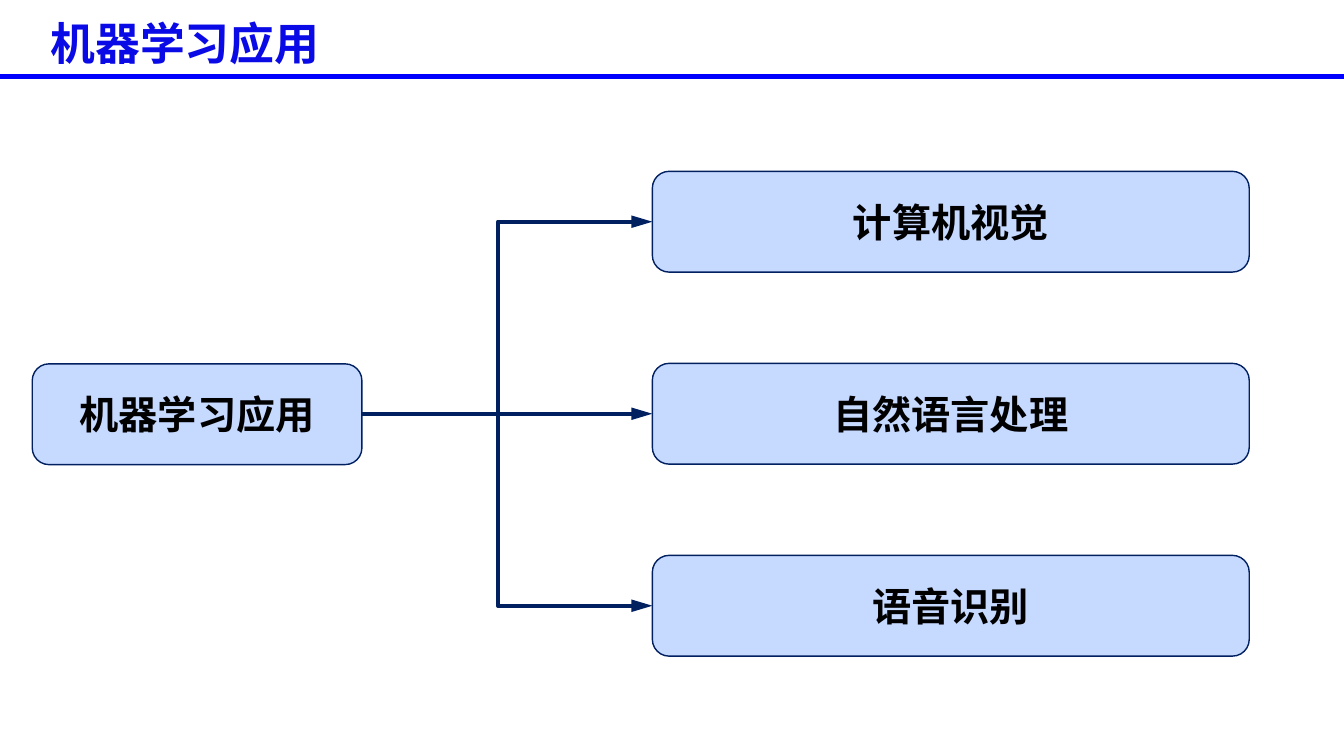
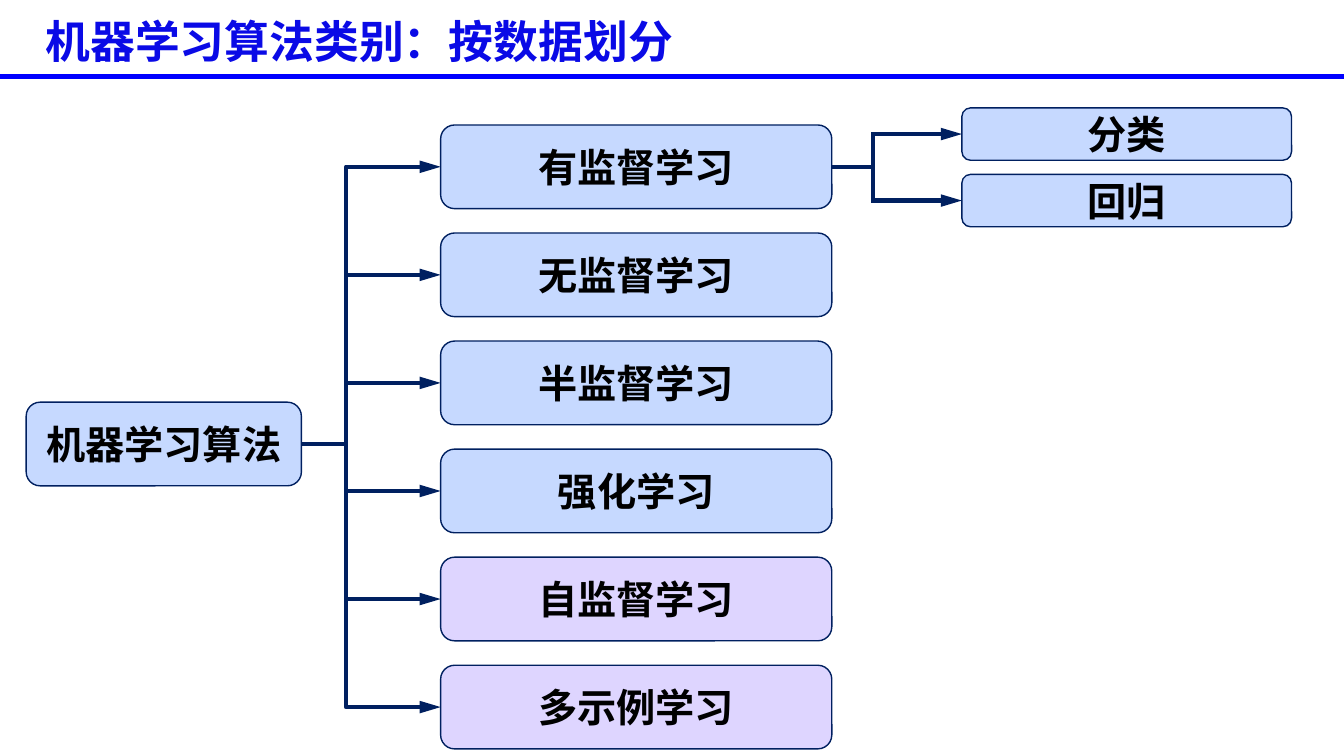
from dataclasses import dataclass

from lxml import etree
from pptx import Presentation
from pptx.dml.color import RGBColor
from pptx.enum.shapes import MSO_CONNECTOR, MSO_SHAPE
from pptx.enum.text import MSO_ANCHOR, MSO_AUTO_SIZE, PP_ALIGN
from pptx.oxml.ns import qn
from pptx.util import Inches, Pt

ROUNDED = MSO_SHAPE.ROUNDED_RECTANGLE
STRAIGHT, ELBOW = MSO_CONNECTOR.STRAIGHT, MSO_CONNECTOR.ELBOW
LEFT, CENTER, MIDDLE = PP_ALIGN.LEFT, PP_ALIGN.CENTER, MSO_ANCHOR.MIDDLE
NO_AUTOFIT = MSO_AUTO_SIZE.NONE
TITLE_ONLY = 5
LEFT_SITE, RIGHT_SITE = 1, 3


@dataclass(frozen=True)
class Theme:
    """Colours, fonts and type sizes of the deck."""
    title: str = "0A0AE6"
    rule: str = "0000FF"
    navy: str = "002060"
    blue: str = "C6D9FF"
    violet: str = "DED5FF"
    text: str = "000000"
    title_font: str = "Calibri"
    box_font: str = "Noto Sans CJK SC"
    title_size: int = 32
    box_size: int = 28


THEME = Theme()
SLIDE_W, SLIDE_H, RULE_Y = 13.33, 7.5, 0.76

SLIDES = [
    {
        "title": "机器学习应用",
        "title_at": (0.4, 0.1, 9.31, 0.64),
        "root": ("机器学习应用", (0.32, 3.61, 3.27, 1)),
        "branches": [
            {
                "parent": "机器学习应用", "trunk": 4.94,
                "first": (6.47, 1.7, 5.92, 1), "last_top": 5.51,
                "children": ["计算机视觉", "自然语言处理", "语音识别"],
            },
        ],
    },
    {
        "title": "机器学习算法类别：按数据划分",
        "title_at": (0.35, 0.08, 9.31, 0.64),
        "root": ("机器学习算法", (0.26, 3.99, 2.73, 0.83)),
        "branches": [
            {
                "parent": "机器学习算法", "trunk": 3.43,
                "first": (4.37, 1.24, 3.88, 0.83), "last_top": 6.6,
                "children": ["有监督学习", "无监督学习", "半监督学习",
                             "强化学习", "自监督学习", "多示例学习"],
                "violet": {"自监督学习", "多示例学习"},
            },
            {
                "parent": "有监督学习", "trunk": 8.66, "bracket": True,
                "first": (9.54, 1.07, 3.27, 0.52), "last_top": 1.73,
                "children": ["分类", "回归"],
            },
        ],
    },
]


def rgb(value):
    """Return a colour object for a hex string."""
    return RGBColor.from_string(value)


def write(shape, text, align, font_name, size, color):
    """Put one bold, vertically centred line of text into a shape."""
    frame = shape.text_frame
    frame.text = text
    layout = {"word_wrap": True, "auto_size": NO_AUTOFIT,
              "vertical_anchor": MIDDLE, "margin_top": 0, "margin_bottom": 0}
    for key, value in layout.items():
        setattr(frame, key, value)
    paragraph = frame.paragraphs[0]
    paragraph.alignment = align
    run = paragraph.runs[0]
    for key, value in {"name": font_name, "size": Pt(size), "bold": True}.items():
        setattr(run.font, key, value)
    run.font.color.rgb = rgb(color)
    east_asian = etree.SubElement(run._r.get_or_add_rPr(), qn("a:ea"))
    east_asian.set("typeface", THEME.box_font)


def add_line(slide, kind, ends, color=THEME.navy, width=3):
    """Add a connector without shadow between two points."""
    line = slide.shapes.add_connector(kind, *ends)
    line.line.color.rgb = rgb(color)
    line.line.width = Pt(width)
    etree.SubElement(line.element.spPr, qn("a:effectLst"))
    return line


def add_title(slide, text, at):
    """Place the title and the rule below it."""
    title = slide.shapes.title
    for key, value in zip(("left", "top", "width", "height"), at):
        setattr(title, key, Inches(value))
    write(title, text, LEFT, THEME.title_font, THEME.title_size, THEME.title)
    ends = [Inches(value) for value in (0, RULE_Y, SLIDE_W, RULE_Y)]
    add_line(slide, STRAIGHT, ends, THEME.rule, 4)


def add_box(slide, text, at, fill):
    """Add a rounded topic box."""
    box = slide.shapes.add_shape(ROUNDED, *(Inches(value) for value in at))
    box.shadow.inherit = False
    box.fill.solid()
    box.fill.fore_color.rgb = rgb(fill)
    box.line.color.rgb = rgb(THEME.navy)
    box.line.width = Pt(1)
    write(box, text, CENTER, THEME.box_font, THEME.box_size, THEME.text)
    return box


def middle_y(box):
    """Return the height of a box's centre line."""
    return box.top + box.height // 2


def add_arrow(slide, kind, ends, child):
    """Add an arrow that is attached to the left side of a child box."""
    arrow = add_line(slide, kind, ends)
    arrow.end_connect(child, LEFT_SITE)
    etree.SubElement(arrow.element.spPr.find(qn("a:ln")), qn("a:tailEnd"),
                     type="triangle", w="med", len="lg")
    return arrow


def add_bent_arrow(slide, parent, child, trunk):
    """Join parent to child with an arrow that bends at the trunk."""
    start, end = parent.left + parent.width, child.left
    ends = (start, middle_y(parent), end, middle_y(child))
    arrow = add_arrow(slide, ELBOW, ends, child)
    arrow.begin_connect(parent, RIGHT_SITE)
    bend = round((trunk - start) / (end - start) * 100000)
    guides = arrow.element.spPr.find(qn("a:prstGeom")).get_or_add_avLst()
    etree.SubElement(guides, qn("a:gd"), name="adj1", fmla=f"val {bend}")


def add_branch_lines(slide, parent, children, trunk, bracket):
    """Draw the trunk of a branch and an arrow to each child."""
    straight = children if bracket else children[1:-1]
    if bracket:
        level = middle_y(parent)
        stub = add_line(slide, STRAIGHT,
                        (parent.left + parent.width, level, trunk, level))
        stub.begin_connect(parent, RIGHT_SITE)
        add_line(slide, STRAIGHT, (trunk, middle_y(children[0]),
                                   trunk, middle_y(children[-1])))
    else:
        for child in (children[0], children[-1]):
            add_bent_arrow(slide, parent, child, trunk)
    overlap = Pt(1.5) if bracket else 0
    for child in straight:
        level = middle_y(child)
        add_arrow(slide, STRAIGHT,
                  (trunk - overlap, level, child.left, level), child)


def add_tree(slide, root, branches):
    """Draw the root box and every level of branches."""
    root_text, root_at = root
    boxes = {root_text: add_box(slide, root_text, root_at, THEME.blue)}
    for branch in branches:
        left, top, width, height = branch["first"]
        names = branch["children"]
        pitch = (branch["last_top"] - top) / (len(names) - 1)
        for row, text in enumerate(names):
            fill = THEME.violet if text in branch.get("violet", ()) else THEME.blue
            at = (left, top + row * pitch, width, height)
            boxes[text] = add_box(slide, text, at, fill)
        add_branch_lines(slide, boxes[branch["parent"]],
                         [boxes[text] for text in names],
                         Inches(branch["trunk"]), branch.get("bracket", False))


def main():
    """Build and save the deck."""
    deck = Presentation()
    deck.slide_width, deck.slide_height = Inches(SLIDE_W), Inches(SLIDE_H)
    for content in SLIDES:
        slide = deck.slides.add_slide(deck.slide_layouts[TITLE_ONLY])
        add_title(slide, content["title"], content["title_at"])
        add_tree(slide, content["root"], content["branches"])
    deck.save("out.pptx")


if __name__ == "__main__":
    main()
